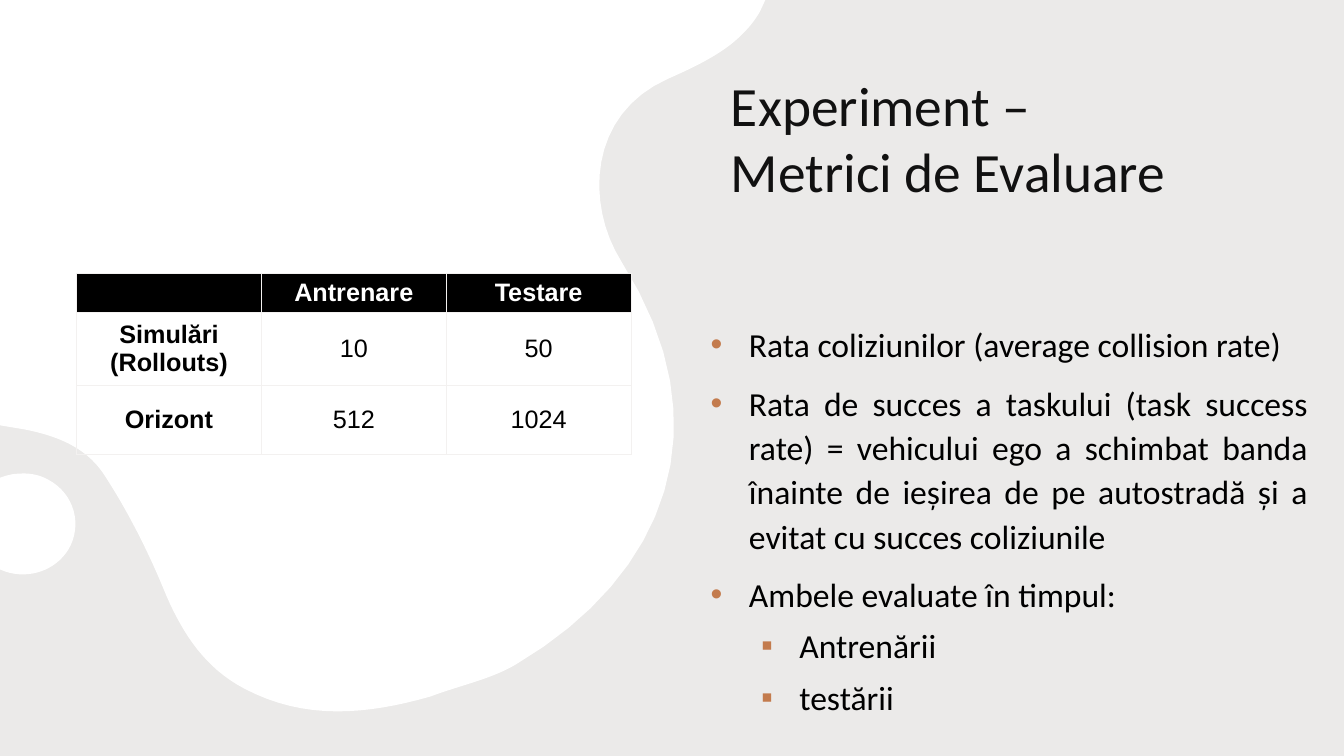
from lxml import etree
from pptx import Presentation
from pptx.dml.color import RGBColor
from pptx.enum.shapes import MSO_SHAPE
from pptx.enum.text import MSO_ANCHOR, MSO_AUTO_SIZE, PP_ALIGN
from pptx.oxml.ns import qn
from pptx.util import Inches, Pt

RECTANGLE = MSO_SHAPE.RECTANGLE
BOTTOM, MIDDLE = MSO_ANCHOR.BOTTOM, MSO_ANCHOR.MIDDLE
LEFT, CENTER, JUSTIFY = PP_ALIGN.LEFT, PP_ALIGN.CENTER, PP_ALIGN.JUSTIFY
NO_AUTOFIT = MSO_AUTO_SIZE.NONE
BLACK, WHITE, PAPER, TINT, ACCENT = "000000", "FFFFFF", "F3F1F0", "AEAEAE", "C37B4D"
CURVE_STEPS = 16

# Each contour starts at a point; pairs are lines and sextets are Bézier curves.
SMALL_BLOB = [
    (0.18, 4.7), (0.29, 4.69, 0.39, 4.71, 0.48, 4.76),
    (0.74, 4.9, 0.82, 5.21, 0.68, 5.45), (0.55, 5.66, 0.29, 5.75, 0.05, 5.67),
    (0, 5.65), (0, 4.74), (0.06, 4.72), (0.1, 4.71, 0.14, 4.7, 0.18, 4.7),
]
LARGE_BLOB = [
    (0, 0), (7.59, 0), (7.54, 0.11), (7.5, 0.18, 7.45, 0.25, 7.39, 0.31),
    (7.2, 0.52, 6.9, 0.66, 6.63, 0.78), (5.83, 1.13, 5.81, 2.03, 6.16, 2.59),
    (7.2, 4.22, 6.61, 5.71, 5.12, 6.59), (4.87, 6.74, 4.56, 6.8, 4.27, 6.91),
    (3.64, 7.09, 3.02, 7.15, 2.42, 6.83), (2.04, 6.63, 1.82, 6.3, 1.65, 5.91),
    (1.48, 5.49, 1.27, 5.07, 1.02, 4.69), (0.84, 4.43, 0.55, 4.32, 0.24, 4.26),
    (0, 4.22),
]
METRICS = [
    (0, "Rata coliziunilor (average collision rate)"),
    (0, "Rata de succes a taskului (task success rate) = vehicului ego a schimbat "
        "banda înainte de ieșirea de pe autostradă și a evitat cu succes coliziunile"),
    (0, "Ambele evaluate în timpul:"),
    (1, "Antrenării"),
    (1, "testării"),
]
BULLETS = [("•", 0.38, 10), ("▪", 0.88, 5)]
SETTINGS = [
    ["", "Antrenare", "Testare"],
    ["Simulări (Rollouts)", "10", "50"],
    ["Orizont", "512", "1024"],
]
ROW_HEIGHTS = [0.39, 0.72, 0.69]


def color(value):
    """Return the colour for a hex string."""
    return RGBColor.from_string(value)


def set_attributes(target, values):
    """Set every attribute named in a dict of format values."""
    for name, value in values.items():
        setattr(target, name, value)


def format_runs(paragraph, size, font_name, font_color, bold=False):
    """Format all runs of a paragraph."""
    for run in paragraph.runs:
        set_attributes(run.font, {"size": Pt(size), "name": font_name, "bold": bold})
        run.font.color.rgb = color(font_color)


def fill_plain(shape, fill_color):
    """Give a shape a solid fill without line or shadow."""
    shape.fill.solid()
    shape.fill.fore_color.rgb = color(fill_color)
    shape.line.fill.background()
    shape.shadow.inherit = False


def flatten(contour):
    """Turn lines and Bézier curves into a list of points."""
    points = [contour[0]]
    for segment in contour[1:]:
        if len(segment) == 2:
            points.append(segment)
            continue
        controls = [points[-1], segment[:2], segment[2:4], segment[4:]]
        for step in range(1, CURVE_STEPS + 1):
            t = step / CURVE_STEPS
            weights = [(1 - t) ** 3, 3 * t * (1 - t) ** 2, 3 * t * t * (1 - t), t ** 3]
            points.append(tuple(
                sum(weight * control[axis] for weight, control in zip(weights, controls))
                for axis in (0, 1)))
    return points


def add_backdrop(slide, left, top, width, height):
    """Add the tinted background and the white blobs."""
    slide.background.fill.solid()
    slide.background.fill.fore_color.rgb = color(PAPER)
    tint = slide.shapes.add_shape(
        RECTANGLE, Inches(left), Inches(top), Inches(width), Inches(height))
    fill_plain(tint, TINT)
    tint_color = tint.fill._xPr.find(qn("a:solidFill"))[0]
    etree.SubElement(tint_color, qn("a:alpha"), val="10000")

    builder = None
    for contour in (SMALL_BLOB, LARGE_BLOB):
        start, *others = [(Inches(left + x), Inches(top + y)) for x, y in flatten(contour)]
        if builder is None:
            builder = slide.shapes.build_freeform(*start)
        else:
            builder.move_to(*start)
        builder.add_line_segments(others, close=True)
    fill_plain(builder.convert_to_shape(), WHITE)


def add_title(slide, left, top, width, height):
    """Place and format the title."""
    title = slide.shapes.title
    set_attributes(title, {"left": Inches(left), "top": Inches(top),
                           "width": Inches(width), "height": Inches(height)})
    frame = title.text_frame
    frame.text = "Experiment –\vMetrici de Evaluare"
    set_attributes(frame, {"vertical_anchor": BOTTOM, "word_wrap": True,
                           "auto_size": NO_AUTOFIT})
    paragraph = frame.paragraphs[0]
    paragraph.alignment = LEFT
    format_runs(paragraph, 39.6, "Calibri", BLACK)


def add_bullet(paragraph, symbol, indent):
    """Give a paragraph a coloured bullet with a hanging indent."""
    properties = paragraph._p.get_or_add_pPr()
    properties.set("marL", str(Inches(indent)))
    properties.set("indent", str(Inches(-0.38)))
    bullet_color = etree.SubElement(properties, qn("a:buClr"))
    etree.SubElement(bullet_color, qn("a:srgbClr"), val=ACCENT)
    etree.SubElement(properties, qn("a:buFont"), typeface="Arial")
    etree.SubElement(properties, qn("a:buChar"), char=symbol)


def add_metrics(slide, left, top, width, height):
    """Add the bulleted list of metrics."""
    frame = slide.shapes.add_textbox(
        Inches(left), Inches(top), Inches(width), Inches(height)).text_frame
    set_attributes(frame, {"word_wrap": True, "vertical_anchor": BOTTOM})
    for index, (level, text) in enumerate(METRICS):
        paragraph = frame.add_paragraph() if index else frame.paragraphs[0]
        symbol, indent, space = BULLETS[level]
        paragraph.text = text
        set_attributes(paragraph, {"level": level, "alignment": JUSTIFY, "line_spacing": 1.1,
                                   "space_before": Pt(space if index else 0)})
        add_bullet(paragraph, symbol, indent)
        format_runs(paragraph, 24, "Calibri", BLACK)


def add_borders(cell):
    """Draw thin lines on the four sides of a cell."""
    properties = cell._tc.get_or_add_tcPr()
    for side in ("lnL", "lnR", "lnT", "lnB"):
        line = etree.SubElement(properties, qn(f"a:{side}"), w=str(Pt(0.5)))
        fill = etree.SubElement(line, qn("a:solidFill"))
        etree.SubElement(fill, qn("a:srgbClr"), val=PAPER)


def add_settings_table(slide, left, top, width):
    """Add the table of training and testing settings."""
    table = slide.shapes.add_table(
        len(SETTINGS), len(SETTINGS[0]), Inches(left), Inches(top),
        Inches(width), Inches(sum(ROW_HEIGHTS))).table
    set_attributes(table, {"first_row": False, "horz_banding": False})
    for row_index, texts in enumerate(SETTINGS):
        table.rows[row_index].height = Inches(ROW_HEIGHTS[row_index])
        header = row_index == 0
        for column_index, text in enumerate(texts):
            cell = table.cell(row_index, column_index)
            cell.text = text
            set_attributes(cell, {"vertical_anchor": MIDDLE, "margin_top": Inches(0.03),
                                  "margin_bottom": Inches(0.03)})
            add_borders(cell)
            if header:
                cell.fill.solid()
                cell.fill.fore_color.rgb = color(BLACK)
            else:
                cell.fill.background()
            paragraph = cell.text_frame.paragraphs[0]
            paragraph.alignment = CENTER
            format_runs(paragraph, 18, "Arial", WHITE if header else BLACK,
                        header or column_index == 0)


def main():
    """Build the slide and save the presentation."""
    presentation = Presentation()
    set_attributes(presentation, {"slide_width": Inches(13.33), "slide_height": Inches(7.5)})
    slide = presentation.slides.add_slide(presentation.slide_layouts[5])
    add_backdrop(slide, 0, 0, 13.33, 7.5)
    add_title(slide, 7.15, 0.65, 6.45, 1.42)
    add_metrics(slide, 6.95, 2.21, 6.12, 4.95)
    add_settings_table(slide, 0.76, 2.71, 5.5)
    presentation.save("out.pptx")


if __name__ == "__main__":
    main()
